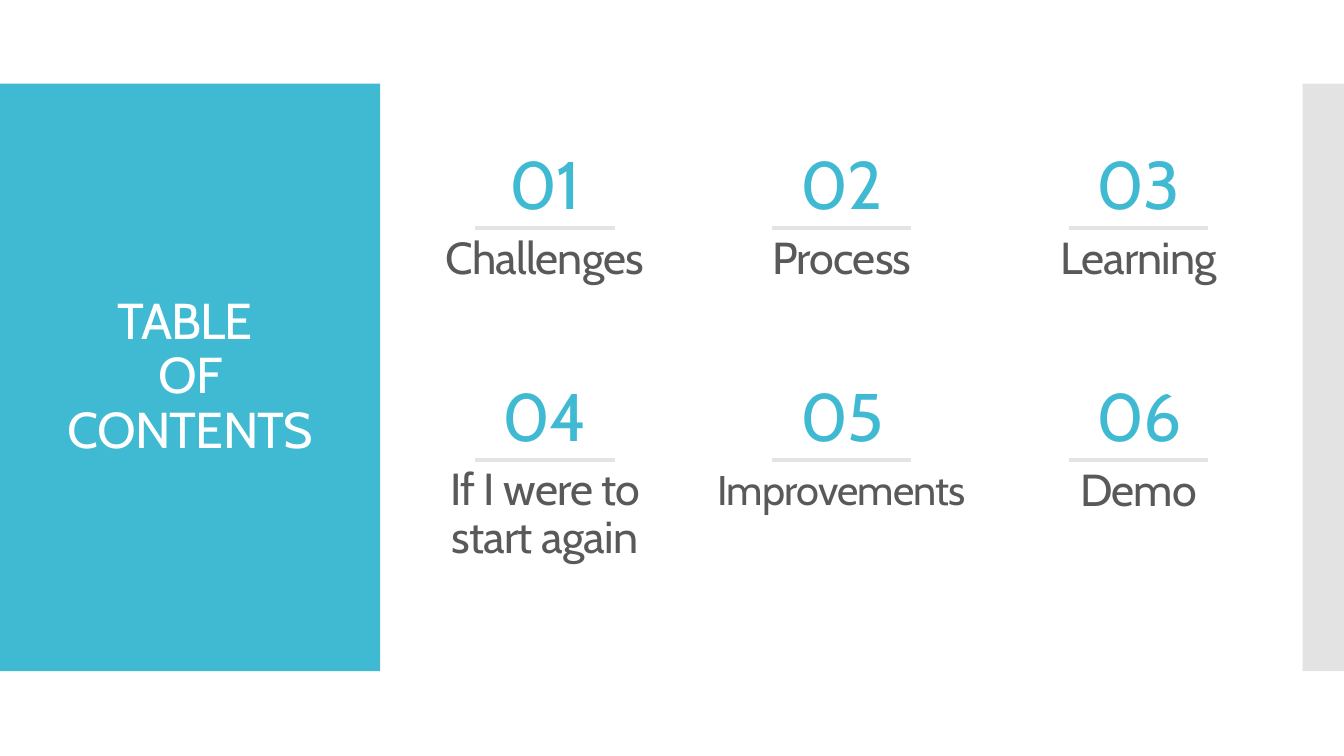
from dataclasses import dataclass

from lxml import etree
from pptx import Presentation
from pptx.dml.color import RGBColor
from pptx.enum.shapes import MSO_CONNECTOR, MSO_SHAPE
from pptx.enum.text import MSO_ANCHOR, MSO_AUTO_SIZE, PP_ALIGN
from pptx.oxml.ns import qn
from pptx.util import Inches, Pt

STRAIGHT = MSO_CONNECTOR.STRAIGHT
RECTANGLE = MSO_SHAPE.RECTANGLE
MIDDLE = MSO_ANCHOR.MIDDLE
NO_AUTO_SIZE = MSO_AUTO_SIZE.NONE
CENTER = PP_ALIGN.CENTER
TITLE_ONLY = 5


@dataclass(frozen=True)
class Theme:
    font: str = "Cabin"
    accent: str = "40BAD2"
    band: str = "C8C8C8"
    band_opacity: int = 50
    rule: str = "E4E4E4"
    label: str = "595959"
    white: str = "FFFFFF"
    title_size: float = 36
    number_size: float = 48
    label_size: float = 32
    small_label_size: float = 29.6
    rule_width: float = 3
    line_spacing: float = 0.9
    tracking: float = -0.6


THEME = Theme()

# Label, type size, top within the cell, height
ENTRIES = [
    ("Challenges", THEME.label_size, 0.72, 0.82),
    ("Process", THEME.label_size, 0.72, 0.82),
    ("Learning", THEME.label_size, 0.72, 0.82),
    ("If I were to start again", THEME.label_size, 0.75, 1.22),
    ("Improvements", THEME.small_label_size, 0.72, 0.82),
    ("Demo", THEME.label_size, 0.72, 0.82),
]
COLUMNS = 3
CELL_WIDTH = 2.67
COLUMN_STEP = 2.945
ROW_STEP = 2.3
NUMBER_WIDTH, NUMBER_HEIGHT = 1.26, 0.82
RULE_LENGTH, RULE_TOP = 1.38, 0.81


def inches(*lengths):
    return [Inches(length) for length in lengths]


def write_centred(shape, lines, size, color):
    """Fill a shape with one centred paragraph, broken into the given lines."""
    frame = shape.text_frame
    frame.word_wrap = True
    frame.auto_size = NO_AUTO_SIZE
    frame.vertical_anchor = MIDDLE
    para = frame.paragraphs[0]
    para.alignment = CENTER
    para.line_spacing = THEME.line_spacing
    for index, line in enumerate(lines):
        if index:
            para.add_line_break()
        span = para.add_run()
        span.text = line
        span.font.name = THEME.font
        span.font.size = Pt(size)
        span.font.color.rgb = RGBColor.from_string(color)
        span.font._element.set("spc", str(round(THEME.tracking * 100)))


def add_panel(page, box, color, opacity=100):
    panel = page.shapes.add_shape(RECTANGLE, *inches(*box))
    panel.shadow.inherit = False
    panel.line.fill.background()
    panel.fill.solid()
    panel.fill.fore_color.rgb = RGBColor.from_string(color)
    if opacity < 100:
        tint = panel._element.spPr.find(qn("a:solidFill"))[0]
        etree.SubElement(tint, qn("a:alpha")).set("val", str(opacity * 1000))


def add_title_panel(page, box):
    left, top, width, height = box
    add_panel(page, box, THEME.accent)
    title = page.shapes.title
    page.shapes._spTree.append(title._element)  # in front of the panel
    title.left, title.top, title.width, title.height = inches(
        left + 0.28, top + 0.4, width - 0.55, height - 0.8)
    write_centred(title, ["TABLE ", "OF CONTENTS"], THEME.title_size, THEME.white)


def add_rule(page, left, top, length):
    rule = page.shapes.add_connector(
        STRAIGHT, *inches(left, top, left + length, top))
    rule.line.color.rgb = RGBColor.from_string(THEME.rule)
    rule.line.width = Pt(THEME.rule_width)
    etree.SubElement(rule._element.spPr, qn("a:effectLst"))


def add_entry(page, left, top, number, entry):
    label, size, label_top, label_height = entry
    middle = left + CELL_WIDTH / 2

    # Number
    number_box = page.shapes.add_textbox(
        *inches(middle - NUMBER_WIDTH / 2, top, NUMBER_WIDTH, NUMBER_HEIGHT))
    write_centred(number_box, [f"{number:02d}"], THEME.number_size, THEME.accent)

    # Label
    label_box = page.shapes.add_textbox(
        *inches(left, top + label_top, CELL_WIDTH, label_height))
    write_centred(label_box, [label], size, THEME.label)

    # Rule between them
    add_rule(page, middle - RULE_LENGTH / 2, top + RULE_TOP, RULE_LENGTH)


def add_contents_grid(page, left, top):
    for index, entry in enumerate(ENTRIES):
        row, column = divmod(index, COLUMNS)
        add_entry(page, left + column * COLUMN_STEP, top + row * ROW_STEP,
                  index + 1, entry)


def build_contents_page(deck):
    page = deck.slides.add_slide(deck.slide_layouts[TITLE_ONLY])
    add_title_panel(page, (0, 0.83, 3.77, 5.83))
    add_panel(page, (12.92, 0.83, 0.41, 5.83), THEME.band, THEME.band_opacity)
    add_contents_grid(page, 4.07, 1.45)


deck = Presentation()
deck.slide_width, deck.slide_height = inches(13.33, 7.5)
build_contents_page(deck)
deck.save("out.pptx")
